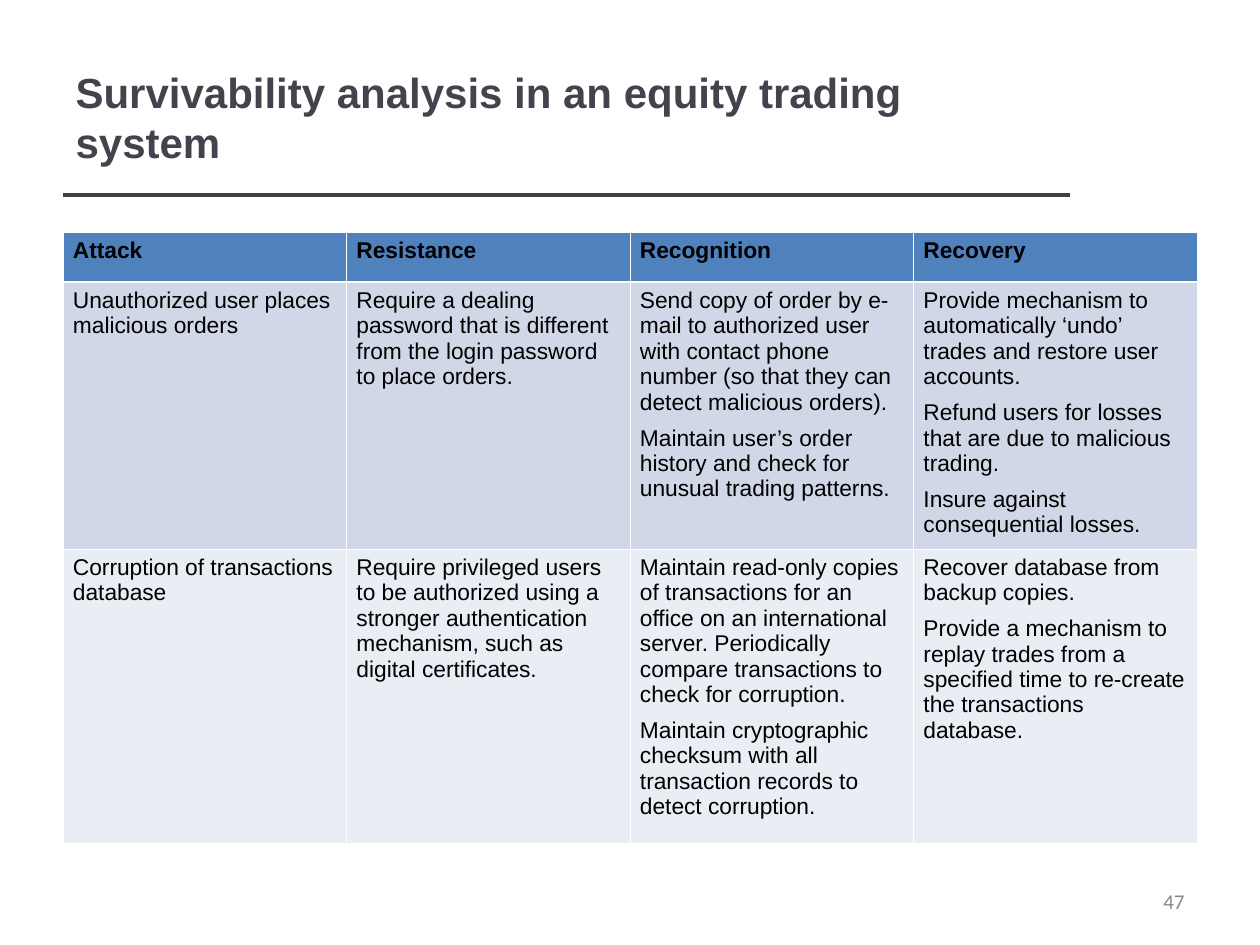
from dataclasses import dataclass

import pptx
import pptx.dml.color
import pptx.enum.shapes
import pptx.enum.text
import pptx.oxml.ns
import pptx.util
from lxml import etree

EMU_PER_PX = 914400 / 126
Align = pptx.enum.text.PP_ALIGN


@dataclass(frozen=True)
class Theme:
    title: str = "46424D"
    rule: str = "404040"
    text: str = "000000"
    page_number: str = "898989"
    header_fill: str = "4F81BD"
    row_fills: tuple[str, ...] = ("D0D8E8", "E9EDF4")
    border: str = "FFFFFF"
    thin: float = 0.45
    thick: float = 1.47
    heading_font: str = "Arial"
    number_font: str = "Calibri"
    title_size: int = 24
    table_size: int = 13
    number_size: int = 12
    paragraph_gap: int = 6


@dataclass(frozen=True)
class Threat:
    """One table row; each cell is a tuple of paragraphs."""
    attack: tuple[str, ...]
    resistance: tuple[str, ...]
    recognition: tuple[str, ...]
    recovery: tuple[str, ...]
    height: int

    def cells(self) -> tuple[tuple[str, ...], ...]:
        return self.attack, self.resistance, self.recognition, self.recovery


THEME = Theme()
HEADINGS = ("Attack", "Resistance", "Recognition", "Recovery")
HEADER_HEIGHT = 50
THREATS = (
    Threat(
        ("Unauthorized user places malicious orders",),
        ("Require a dealing password that is different from the login password to place orders.",),
        ("Send copy of order by e-mail to authorized user with contact phone number "
         "(so that they can detect malicious orders).",
         "Maintain user’s order history and check for unusual trading patterns."),
        ("Provide mechanism to automatically ‘undo’ trades and restore user accounts.",
         "Refund users for losses that are due to malicious trading.",
         "Insure against consequential losses."),
        height=267,
    ),
    Threat(
        ("Corruption of transactions database",),
        ("Require privileged users to be authorized using a stronger authentication "
         "mechanism, such as digital certificates.",),
        ("Maintain read-only copies of transactions for an office on an international "
         "server. Periodically compare transactions to check for corruption.",
         "Maintain cryptographic checksum with all transaction records to detect corruption."),
        ("Recover database from backup copies.",
         "Provide a mechanism to replay trades from a specified time to re-create "
         "the transactions database."),
        height=294,
    ),
)


def px(length: int) -> pptx.util.Emu:
    return pptx.util.Emu(round(length * EMU_PER_PX))


def rgb(colour: str) -> pptx.dml.color.RGBColor:
    return pptx.dml.color.RGBColor.from_string(colour)


def add_run(paragraph, text: str, font: str, size: int, colour: str, bold: bool = False) -> None:
    run = paragraph.add_run()
    run.text = text
    run.font.name = font
    run.font.size = pptx.util.Pt(size)
    run.font.bold = bold
    run.font.color.rgb = rgb(colour)


def add_title(slide, text: str) -> None:
    title = slide.shapes.title
    title.left, title.top, title.width, title.height = px(63), px(38), px(1005), px(157)
    frame = title.text_frame
    frame.auto_size = pptx.enum.text.MSO_AUTO_SIZE.NONE
    frame.vertical_anchor = pptx.enum.text.MSO_ANCHOR.MIDDLE
    frame.margin_right = px(20)
    paragraph = frame.paragraphs[0]
    paragraph.alignment = Align.LEFT
    add_run(paragraph, text, THEME.heading_font, THEME.title_size, THEME.title, bold=True)


def add_title_rule(slide) -> None:
    rule = slide.shapes.add_connector(
        pptx.enum.shapes.MSO_CONNECTOR.STRAIGHT, px(63), px(195), px(1070), px(195))
    rule.line.color.rgb = rgb(THEME.rule)
    rule.line.width = pptx.util.Pt(2)
    etree.SubElement(rule._element.spPr, pptx.oxml.ns.qn("a:effectLst"))


def set_borders(cell, top: float, bottom: float) -> None:
    """Draw the four cell borders; must run before the cell is filled."""
    properties = cell._tc.get_or_add_tcPr()
    widths = {"lnL": THEME.thin, "lnR": THEME.thin, "lnT": top, "lnB": bottom}
    for side, width in widths.items():
        line = etree.SubElement(properties, pptx.oxml.ns.qn(f"a:{side}"),
                                w=str(pptx.util.Pt(width)))
        fill = etree.SubElement(line, pptx.oxml.ns.qn("a:solidFill"))
        etree.SubElement(fill, pptx.oxml.ns.qn("a:srgbClr"), val=THEME.border)


def fill_cell(cell, paragraphs: tuple[str, ...], fill: str, top: float, bottom: float,
              heading: bool = False) -> None:
    set_borders(cell, top, bottom)
    cell.fill.solid()
    cell.fill.fore_color.rgb = rgb(fill)
    cell.margin_left = cell.margin_right = px(10)
    cell.margin_top = cell.margin_bottom = px(6)
    frame = cell.text_frame
    for index, text in enumerate(paragraphs):
        paragraph = frame.add_paragraph() if index else frame.paragraphs[0]
        paragraph.alignment = Align.JUSTIFY if heading else Align.LEFT
        if index:
            paragraph.space_before = pptx.util.Pt(THEME.paragraph_gap)
        add_run(paragraph, text, THEME.heading_font, THEME.table_size, THEME.text, heading)


def add_threat_table(slide) -> None:
    heights = (HEADER_HEIGHT, *(threat.height for threat in THREATS))
    table = slide.shapes.add_table(
        len(heights), len(HEADINGS), px(63), px(232), px(1134), px(sum(heights))).table
    table.horz_banding = False
    for row, height in zip(table.rows, heights):
        row.height = px(height)
    for column, heading in enumerate(HEADINGS):
        fill_cell(table.cell(0, column), (heading,), THEME.header_fill,
                  THEME.thin, THEME.thick, heading=True)
    for row, (threat, fill) in enumerate(zip(THREATS, THEME.row_fills), start=1):
        top = THEME.thick if row == 1 else THEME.thin
        for column, paragraphs in enumerate(threat.cells()):
            fill_cell(table.cell(row, column), paragraphs, fill, top, THEME.thin)


def add_page_number(slide, number: str) -> None:
    frame = slide.shapes.add_textbox(px(903), px(876), px(294), px(50)).text_frame
    frame.word_wrap = True
    frame.vertical_anchor = pptx.enum.text.MSO_ANCHOR.MIDDLE
    paragraph = frame.paragraphs[0]
    paragraph.alignment = Align.RIGHT
    add_run(paragraph, number, THEME.number_font, THEME.number_size, THEME.page_number)


def main() -> None:
    presentation = pptx.Presentation()
    presentation.slide_width, presentation.slide_height = px(1260), px(945)
    title_only = presentation.slide_layouts[5]
    slide = presentation.slides.add_slide(title_only)
    add_title_rule(slide)
    add_title(slide, "Survivability analysis in an equity trading system")
    add_threat_table(slide)
    add_page_number(slide, "47")
    presentation.save("out.pptx")


if __name__ == "__main__":
    main()
